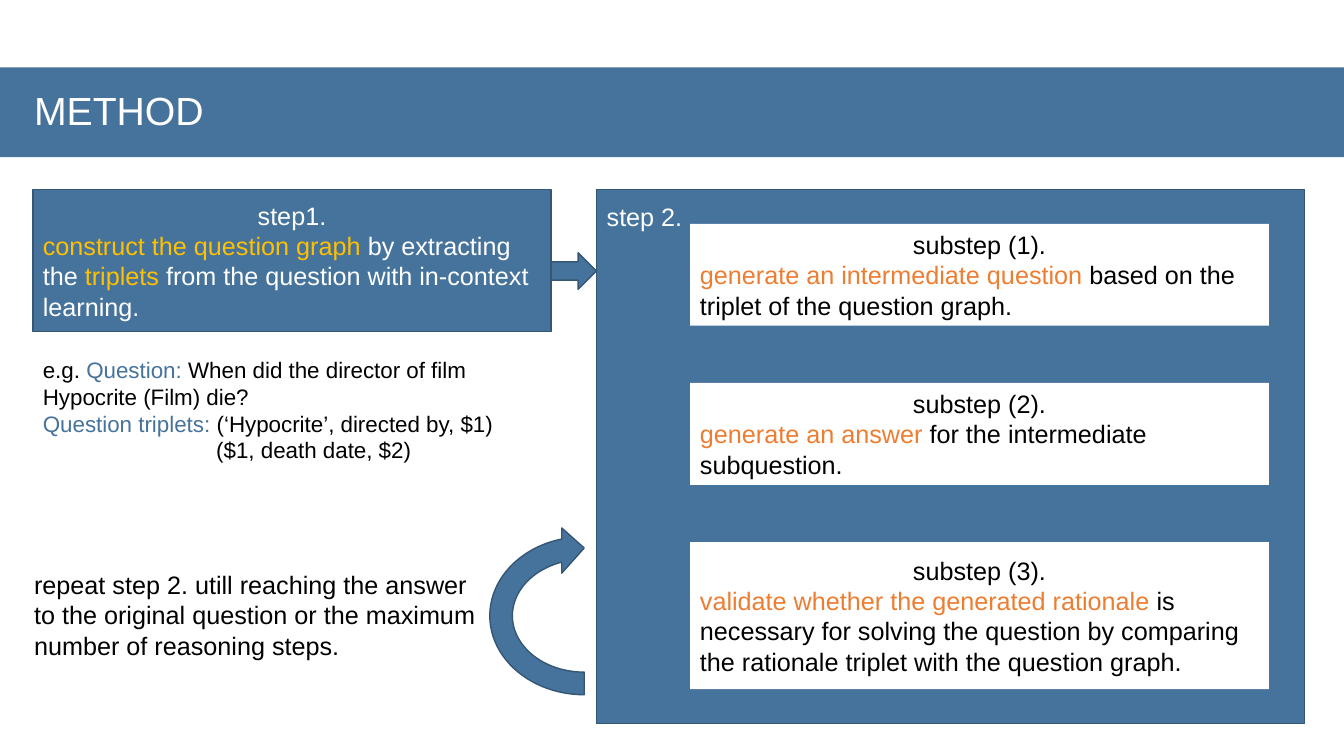
"""Build the METHOD slide: two steps, three substeps and a repeat loop."""
from pptx import Presentation
from pptx import util as u
from pptx.dml.color import RGBColor
from pptx.enum import shapes, text

THEME = dict(font="Arial", blue="46739C", edge="355675", white="FFFFFF", black="000000",
             gold="FFC000", orange="ED7D31", title=28, body=18, example=16)
SHAPE, ALIGN = shapes.MSO_SHAPE, text.PP_ALIGN


def write(sp, paras, size="body", anchor=text.MSO_ANCHOR.TOP):
    tf = sp.text_frame
    frame = dict(word_wrap=True, vertical_anchor=anchor, auto_size=text.MSO_AUTO_SIZE.NONE,
                 margin_left=u.Cm(0.25), margin_right=u.Cm(0.25),
                 margin_top=u.Cm(0.13), margin_bottom=u.Cm(0.13))
    for name, value in frame.items():
        setattr(tf, name, value)
    for i, (align, runs) in enumerate(paras):
        p = tf.paragraphs[0] if i == 0 else tf.add_paragraph()
        p.alignment = align
        for words, color in runs:
            r = p.add_run()
            r.text = words
            for name, value in dict(name=THEME["font"], size=u.Pt(THEME[size])).items():
                setattr(r.font, name, value)
            r.font.color.rgb = RGBColor.from_string(THEME[color])
    return tf


def draw(kind, box, fill="blue", line="edge"):
    sp = s.shapes.add_shape(kind, *map(u.Cm, box))
    sp.shadow.inherit = False
    sp.fill.solid()
    sp.fill.fore_color.rgb = RGBColor.from_string(THEME[fill])
    if line:
        sp.line.color.rgb = RGBColor.from_string(THEME[line])
        sp.line.width = u.Pt(1)
    else:
        sp.line.fill.background()
    return sp


prs = Presentation()
prs.slide_width, prs.slide_height = u.Cm(33.87), u.Cm(19.05)
s = prs.slides.add_slide(prs.slide_layouts[5])

draw(SHAPE.RECTANGLE, (0, 1.7, 33.87, 2.26), line=None)
title = s.shapes.title
s.shapes._spTree.append(title._element)
for name, value in dict(left=0.61, top=1.6, width=23.06, height=2.46).items():
    setattr(title, name, u.Cm(value))
tf = write(title, [(ALIGN.LEFT, [("METHOD", "white")])], "title", text.MSO_ANCHOR.MIDDLE)
tf.paragraphs[0].line_spacing = 0.9

step1 = draw(SHAPE.RECTANGLE, (0.83, 4.78, 13.06, 3.58))
write(step1, [
    (ALIGN.CENTER, [("step1.", "white")]),
    (ALIGN.LEFT, [("construct the question graph", "gold"), (" by extracting the ", "white"),
                  ("triplets", "gold"),
                  (" from the question with in-context learning.", "white")]),
], anchor=text.MSO_ANCHOR.MIDDLE)

draw(SHAPE.RECTANGLE, (15.04, 4.78, 17.83, 13.46))
substeps = [
    ("generate an intermediate question", " based on the triplet of the question graph.", 2.57),
    ("generate an answer", " for the intermediate subquestion.", 2.57),
    ("validate whether the generated rationale",
     " is necessary for solving the question by comparing the rationale triplet"
     " with the question graph.", 3.71),
]
for i, (key, rest, height) in enumerate(substeps):
    sp = draw(SHAPE.RECTANGLE, (17.39, 5.64 + 4.01 * i, 14.59, height), "white", None)
    write(sp, [(ALIGN.CENTER, [(f"substep ({i + 1}).", "black")]),
               (ALIGN.LEFT, [(key, "orange"), (rest, "black")])],
          anchor=text.MSO_ANCHOR.MIDDLE)

draw(SHAPE.RIGHT_ARROW, (13.89, 6.37, 1.14, 0.92))
loop = draw(SHAPE.CIRCULAR_ARROW, (12.45, 12.85, 4.55, 5.33))
loop.rotation = 270

notes = [
    ((15.04, 4.95, 2.5, 1.03), "body", [(ALIGN.LEFT, [("step 2.", "white")])]),
    ((0.61, 14.22, 11.66, 2.57), "body", [(ALIGN.LEFT, [
        ("repeat step 2. utill reaching the answer to the original question or the maximum"
         " number of reasoning steps.", "black")])]),
    ((0.83, 8.84, 13.08, 3.0), "example", [
        (ALIGN.LEFT, [("e.g. ", "black"), ("Question:", "blue"),
                      (" When did the director of film Hypocrite (Film) die?", "black")]),
        (ALIGN.LEFT, [("Question triplets:", "blue"),
                      (" (‘Hypocrite’, directed by, $1)", "black")]),
        (ALIGN.LEFT, [("($1, death date, $2)", "black")])]),
]
for box, size, paras in notes:
    tf = write(s.shapes.add_textbox(*map(u.Cm, box)), paras, size)
tf.paragraphs[-1]._p.get_or_add_pPr().set("marL", str(u.Cm(4.37)))

prs.save("out.pptx")
